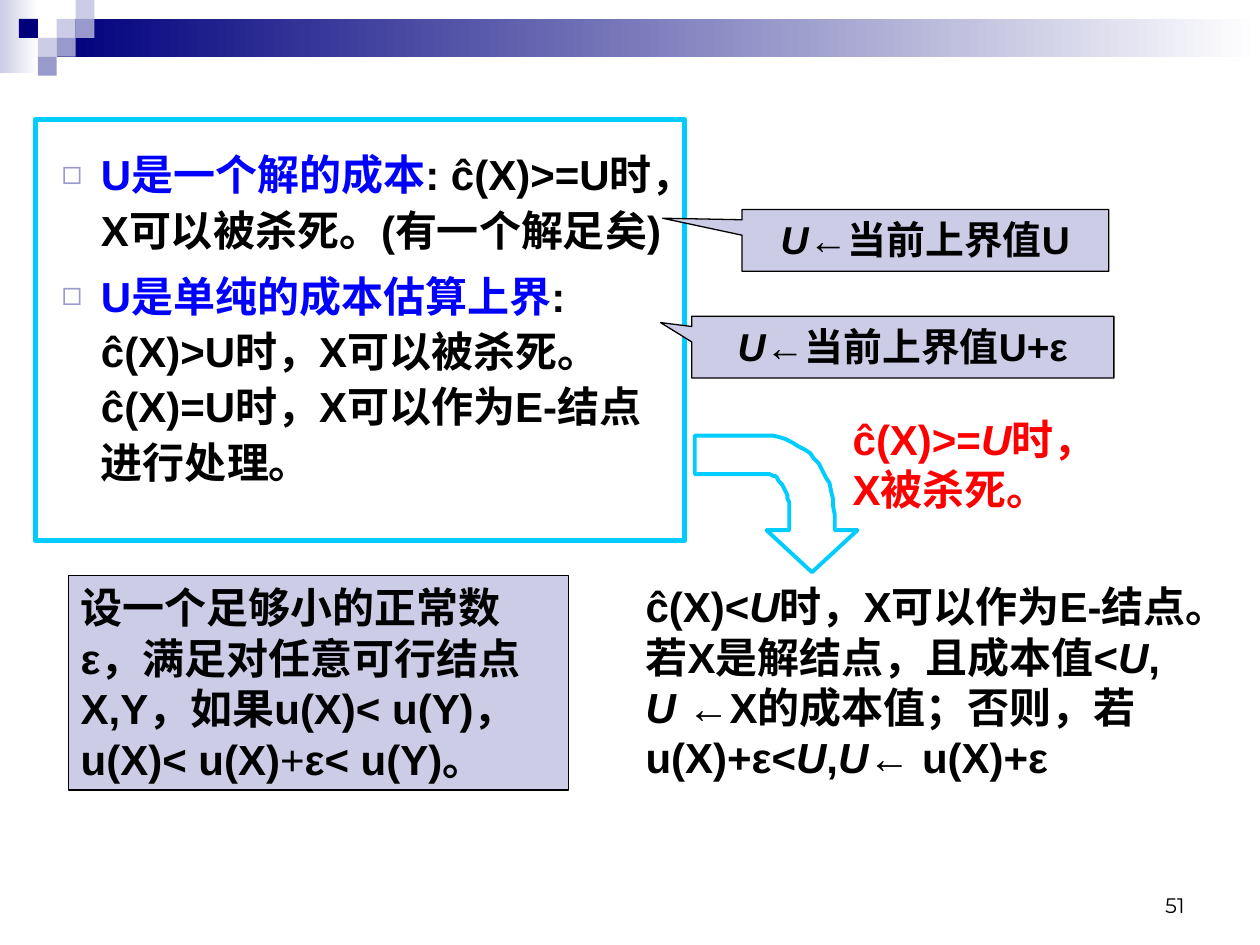
from lxml import etree
from pptx import Presentation
from pptx import util as u
from pptx.dml.color import RGBColor
from pptx.enum import shapes, text
from pptx.oxml import ns

NAVY = RGBColor(0x00, 0x00, 0x7D)
VIOLET = RGBColor(0x99, 0x99, 0xCC)
LILAC = RGBColor(0xCC, 0xCC, 0xE6)
WHITE = RGBColor(0xFF, 0xFF, 0xFF)
BLACK = RGBColor(0x00, 0x00, 0x00)
BLUE = RGBColor(0x00, 0x00, 0xFF)
RED = RGBColor(0xFF, 0x00, 0x00)
CYAN = RGBColor(0x00, 0xCC, 0xFF)
BOLD, ITALIC = "b", "bi"


def curve(start, control_1, control_2, end, steps=16):
    """Points along a cubic curve, without its start."""
    points = []
    for step in range(1, steps + 1):
        t = step / steps
        weights = ((1 - t) ** 3, 3 * t * (1 - t) ** 2, 3 * t * t * (1 - t), t ** 3)
        corners = (start, control_1, control_2, end)
        points.append(tuple(sum(w * corner[axis] for w, corner in zip(weights, corners))
                            for axis in (0, 1)))
    return points


class SlideBuilder:
    font_name = "Arial"
    size = 24

    def __init__(self, slide):
        self.slide = slide

    def style(self, shape, fill=None, line=None, width=0.75):
        shape.shadow.inherit = False
        if fill is None:
            shape.fill.background()
        elif isinstance(fill, list):
            shape.fill.gradient()
            shape.fill.gradient_angle = 0
            for stop, position, color in zip(shape.fill.gradient_stops, (0, 1), fill):
                stop.color.rgb = color
                stop.position = position
        else:
            shape.fill.solid()
            shape.fill.fore_color.rgb = fill
        if line is None:
            shape.line.fill.background()
        else:
            shape.line.color.rgb = line
            shape.line.width = u.Pt(width)

    def box(self, area, fill=None, line=None, width=0.75,
            kind=shapes.MSO_SHAPE.RECTANGLE):
        shape = self.slide.shapes.add_shape(kind, *map(u.Pt, area))
        self.style(shape, fill, line, width)
        return shape

    def add_runs(self, paragraph, runs, size=None, font_name=None):
        for wording, color, emphasis in runs:
            run = paragraph.add_run()
            run.text = wording
            run.font.name = font_name or self.font_name
            run.font.size = u.Pt(size or self.size)
            run.font.bold = "b" in emphasis
            run.font.italic = "i" in emphasis
            run.font.color.rgb = color

    def add_text(self, shape, paragraphs, align=text.PP_ALIGN.LEFT,
                 anchor=text.MSO_ANCHOR.TOP, size=None, font_name=None):
        frame = shape.text_frame
        frame.word_wrap = True
        frame.vertical_anchor = anchor
        for index, runs in enumerate(paragraphs):
            paragraph = frame.add_paragraph() if index else frame.paragraphs[0]
            paragraph.alignment = align
            self.add_runs(paragraph, runs, size, font_name)

    def text_box(self, area, paragraphs, **options):
        shape = self.slide.shapes.add_textbox(*map(u.Pt, area))
        self.add_text(shape, paragraphs, **options)

    def callout(self, area, tip, wording):
        shape = self.box(area, LILAC, BLACK, kind=shapes.MSO_SHAPE.RECTANGULAR_CALLOUT)
        shape.adjustments[0], shape.adjustments[1] = tip
        runs = [("U", BLACK, ITALIC), (wording, BLACK, BOLD)]
        self.add_text(shape, [runs], align=text.PP_ALIGN.CENTER, size=22.2)

    def outline(self, points, line, width):
        builder = self.slide.shapes.build_freeform(*points[0], scale=u.Pt(1))
        builder.add_line_segments(points[1:], close=True)
        self.style(builder.convert_to_shape(), line=line, width=width)

    def bullet_list(self, area, items):
        body = self.slide.placeholders[1]
        body.left, body.top, body.width, body.height = map(u.Pt, area)
        frame = body.text_frame
        frame.auto_size = text.MSO_AUTO_SIZE.NONE
        frame.vertical_anchor = text.MSO_ANCHOR.TOP
        for index, runs in enumerate(items):
            paragraph = frame.add_paragraph() if index else frame.paragraphs[0]
            paragraph.level = 1
            properties = paragraph._p.get_or_add_pPr()
            properties.set("marL", str(u.Pt(58.5)))
            properties.set("indent", str(u.Pt(-22.5)))
            bullet_color = etree.SubElement(properties, ns.qn("a:buClr"))
            etree.SubElement(bullet_color, ns.qn("a:srgbClr"), val=str(VIOLET))
            etree.SubElement(properties, ns.qn("a:buSzPct"), val="80000")
            etree.SubElement(properties, ns.qn("a:buChar"), char="◻")
            paragraph.line_spacing = 1.1
            paragraph.space_before = u.Pt(6 if index else 0)
            self.add_runs(paragraph, runs)


def main():
    presentation = Presentation()
    presentation.slide_width, presentation.slide_height = u.Pt(720), u.Pt(540)
    slide = presentation.slides.add_slide(presentation.slide_layouts[1])
    title = slide.shapes.title
    title._element.getparent().remove(title._element)
    page = SlideBuilder(slide)

    # Header band with its mosaic of squares (column, row, colour)
    page.box((0, 0, 22, 42), [LILAC, WHITE])
    page.box((32.4, 10.8, 687.6, 21.6), [NAVY, WHITE])
    square = 10.8
    for column, row, color in ((3, 1, LILAC), (4, 0, LILAC), (4, 1, VIOLET),
                               (2, 2, LILAC), (1, 1, NAVY), (3, 2, VIOLET),
                               (2, 3, VIOLET)):
        page.box((column * square, row * square, square, square), color)

    # Framed rules
    page.box((20.2, 68.4, 370.8, 240.5), line=CYAN, width=3)
    page.bullet_list((-8, 78.5, 397.5, 283.5), [
        [("U是一个解的成本", BLUE, BOLD),
         (": ĉ(X)>=U时，X可以被杀死。(有一个解足矣)", BLACK, BOLD)],
        [("U是单纯的成本估算上界", BLUE, BOLD),
         (": ĉ(X)>U时，X可以被杀死。 ĉ(X)=U时，X可以作为E-结点进行处理。", BLACK, BOLD)],
    ])

    # Definition of the small constant
    definition = page.box((39, 329, 286, 122.5), LILAC, BLACK)
    page.add_text(definition, [[
        ("设一个足够小的正常数ε，满足对任意可行结点X,Y，如果u(X)< u(Y)，u(X)< u(X)",
         BLACK, BOLD),
        ("+", BLACK, ""),
        ("ε< u(Y)。", BLACK, BOLD)]])

    # Callouts for the current bound
    page.callout((424, 119.7, 209.5, 35.3), (-0.717, -0.358), "←当前上界值U")
    page.callout((395.3, 180.7, 241.2, 35.3), (-0.574, -0.397), "←当前上界值U+ε")

    # Bent arrow
    arrow = [(464.4, 326.9), (490.3, 303.1), (476.6, 303.1), (476.6, 293.8)]
    arrow += curve(arrow[-1], (476.6, 269.3), (459.4, 249.1), (437.8, 249.1))
    arrow += [(396.7, 249.1), (396.7, 270.7), (437.8, 270.7)]
    arrow += curve(arrow[-1], (445, 270.7), (451.4, 280.8), (451.4, 293.8))
    arrow += [(451.4, 303.1), (437.8, 303.1)]
    page.outline(arrow, CYAN, 2.25)

    # Outcomes
    page.text_box((480.2, 232.6, 162.7, 64.8), [
        [("ĉ(X)>=", RED, BOLD), ("U", RED, ITALIC), ("时，", RED, BOLD)],
        [("X被杀死。", RED, BOLD)]])
    outcome = ("ĉ(X)<", "U", "时，X可以作为E-结点。若X是解结点，且成本值<", "U", ", ", "U ",
               "←X的成本值；否则，若u(X)+ε<", "U", ",", "U", "← u(X)+ε")
    page.text_box((361.8, 328.3, 325.8, 151.2), [[
        (part, BLACK, ITALIC if part.strip() == "U" else BOLD) for part in outcome]])

    # Page number
    page.text_box((516, 492, 168, 36), [[("51", BLACK, "")]],
                  align=text.PP_ALIGN.RIGHT, anchor=text.MSO_ANCHOR.BOTTOM,
                  size=12, font_name="Montserrat")

    presentation.save("out.pptx")


if __name__ == "__main__":
    main()
